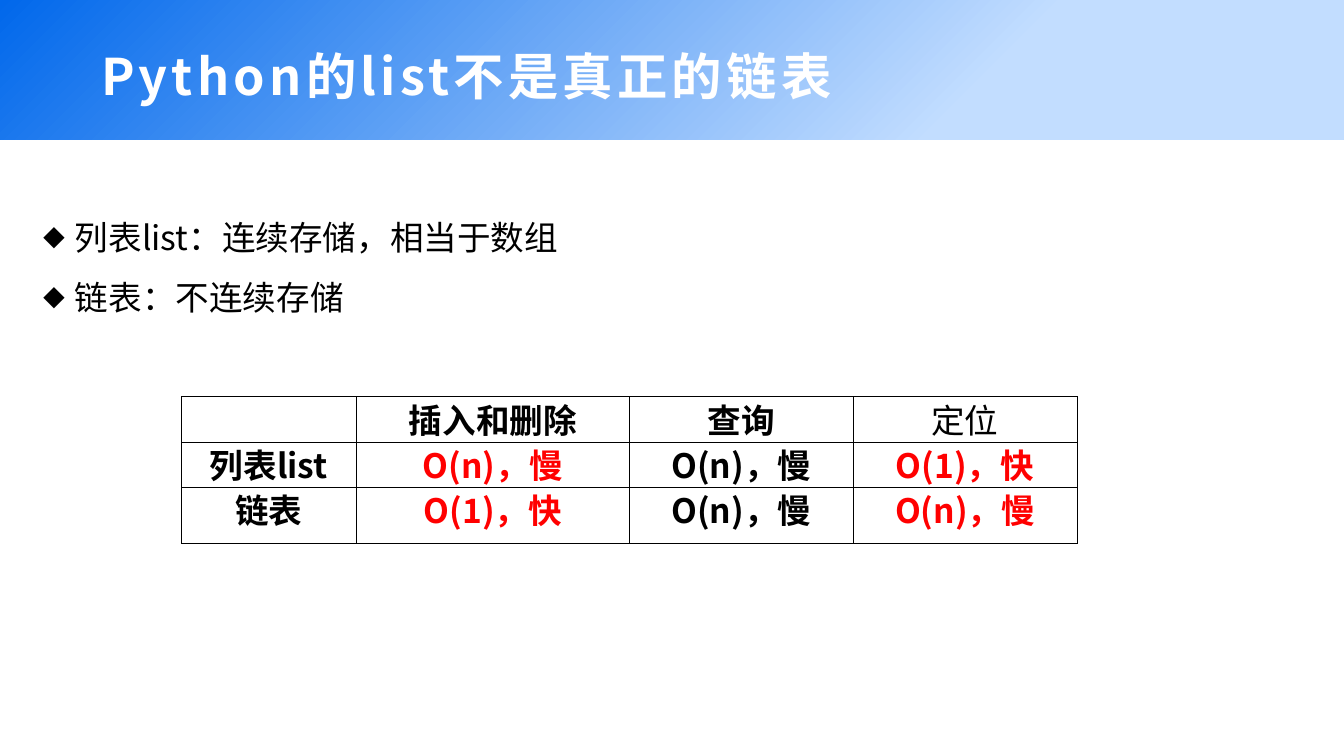
from lxml.etree import SubElement
from pptx import Presentation
from pptx.dml.color import RGBColor
from pptx.enum.shapes import MSO_SHAPE as Shape
from pptx.enum.text import MSO_ANCHOR as Anchor, PP_ALIGN as Align
from pptx.oxml.ns import qn
from pptx.util import Inches, Pt

FACE = "Noto Sans CJK SC"
BLACK, RED, WHITE = "000000", "FF0000", "FFFFFF"


def color(text):
    """Turn a hex string into a colour."""
    return RGBColor.from_string(text)


def style(para, size, tint=BLACK, bold=False):
    """Set the font of a paragraph, for Latin and East Asian text."""
    font = para.font
    font.size, font.bold, font.name = Pt(size), bold, FACE
    font.color.rgb = color(tint)
    props = para._p.get_or_add_pPr().find(qn("a:defRPr"))
    SubElement(props, qn("a:ea"), typeface=FACE)
    for run in para.runs:
        rpr = run._r.get_or_add_rPr()
        SubElement(rpr, qn("a:ea"), typeface=FACE)


def add_box(slide, x, y, w, h):
    """Add a wrapping text box and return its text frame."""
    box = slide.shapes.add_textbox(Inches(x), Inches(y), Inches(w), Inches(h))
    box.text_frame.word_wrap = True
    return box.text_frame


def add_head(slide, x, y, w, h, text):
    """Draw the gradient band with the slide title."""
    band = slide.shapes.add_shape(
        Shape.ROUNDED_RECTANGLE, Inches(x), Inches(y), Inches(w), Inches(h))
    band.adjustments[0] = 0
    band.shadow.inherit = False
    band.line.fill.background()
    band.fill.gradient()
    band.fill.gradient_angle = 315
    stops = zip(band.fill.gradient_stops, (0, 0.72), ("0168EB", "C2DDFF"))
    for stop, place, tint in stops:
        stop.position = place
        stop.color.rgb = color(tint)
    frame = add_box(slide, x + 1.91, y + 0.84, w - 3.83, 1.31)
    frame.vertical_anchor = Anchor.MIDDLE
    para = frame.paragraphs[0]
    run = para.add_run()
    run.text = text
    run._r.get_or_add_rPr().set("spc", "600")
    style(para, 72, WHITE, True)


def add_list(slide, x, y, w, h, items):
    """Place the bulleted lines."""
    frame = add_box(slide, x, y, w, h)
    for i, item in enumerate(items):
        para = frame.add_paragraph() if i else frame.paragraphs[0]
        para.text = item
        para.line_spacing = 1.5
        props = para._p.get_or_add_pPr()
        props.set("marL", str(Inches(0.62)))
        props.set("indent", str(-Inches(0.62)))
        SubElement(props, qn("a:buSzPct"), val="65000")
        SubElement(props, qn("a:buFont"), typeface=FACE)
        SubElement(props, qn("a:buChar"), char="◆")
        style(para, 48)


def add_edges(cell):
    """Draw thin black borders around a cell with no fill."""
    props = cell._tc.get_or_add_tcPr()
    for side in ("lnL", "lnR", "lnT", "lnB"):
        line = SubElement(props, qn(f"a:{side}"), w=str(Pt(1)))
        fill = SubElement(line, qn("a:solidFill"))
        SubElement(fill, qn("a:srgbClr"), val=BLACK)
    cell.fill.background()


def add_grid(slide, x, y, cols, rows, data):
    """Place the comparison table, with red for the contrasting cells."""
    grid = slide.shapes.add_table(
        len(rows), len(cols), Inches(x), Inches(y),
        Inches(sum(cols)), Inches(sum(rows))).table
    grid.first_row = grid.horz_banding = False
    for col, w in zip(grid.columns, cols):
        col.width = Inches(w)
    for r, (row, h) in enumerate(zip(grid.rows, rows)):
        row.height = Inches(h)
        for c, cell in enumerate(row.cells):
            add_edges(cell)
            cell.margin_top, cell.margin_bottom = Inches(0.07), 0
            para = cell.text_frame.paragraphs[0]
            para.text = data[r][c]
            para.alignment = Align.CENTER
            para.line_spacing = 0.85
            tint = RED if r and c in (1, 3) else BLACK
            style(para, 48, tint, (r, c) != (0, 3))


def main():
    """Build and save the slide."""
    deck = Presentation()
    deck.slide_width, deck.slide_height = Inches(26.67), Inches(15)
    slide = deck.slides.add_slide(deck.slide_layouts[6])
    add_head(slide, 0, 0, 26.67, 2.76, "Python的list不是真正的链表")
    add_list(slide, 0.77, 3.85, 15.9, 2.32,
             ["列表list：连续存储，相当于数组", "链表：不连续存储"])
    slow, fast = "O(n)，慢", "O(1)，快"
    add_grid(slide, 3.6, 7.87, [3.47, 5.42, 4.44, 4.44], [0.9, 0.9, 1.11],
             [["", "插入和删除", "查询", "定位"],
              ["列表list", slow, slow, fast],
              ["链表", fast, slow, slow]])
    deck.save("out.pptx")


if __name__ == "__main__":
    main()
